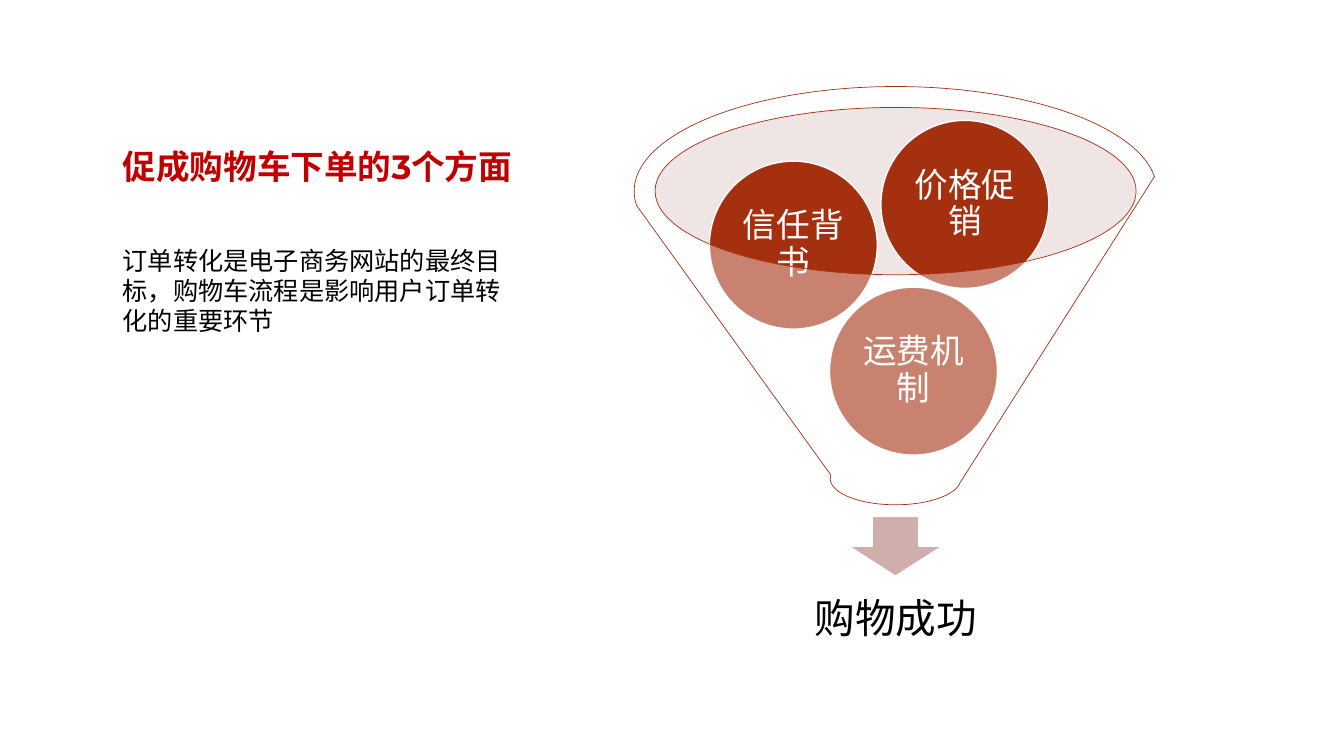
from dataclasses import dataclass

from lxml import etree
from pptx import Presentation
from pptx import util as u
from pptx.dml.color import RGBColor
from pptx.enum import shapes, text
from pptx.oxml.ns import qn

Kind = shapes.MSO_SHAPE
MID = text.MSO_ANCHOR.MIDDLE
TOP = text.MSO_ANCHOR.TOP
CENTER = text.PP_ALIGN.CENTER
LEFT = text.PP_ALIGN.LEFT


@dataclass(frozen=True)
class Theme:
    font: str = "Montserrat"
    rust: str = "A5300F"
    red: str = "C00000"
    rose: str = "CFAEAB"
    blush: str = "D8BEBD"
    white: str = "FFFFFF"
    black: str = "000000"
    head: int = 24
    body: int = 18
    ball: int = 24
    goal: int = 29


class Deck:
    def __init__(self, theme, wide, high):
        self.theme = theme
        self.prs = Presentation()
        self.prs.slide_width = u.Pt(wide)
        self.prs.slide_height = u.Pt(high)
        self.page = self.prs.slides.add_slide(self.prs.slide_layouts[6])

    def shape(self, kind, box, fill, line=None, width=1, alpha=None):
        """Draw a preset shape; alpha is the opacity of its fill in percent."""
        item = self.page.shapes.add_shape(kind, *map(u.Pt, box))
        item.shadow.inherit = False
        item.fill.solid()
        item.fill.fore_color.rgb = RGBColor.from_string(fill)
        if alpha is not None:
            tint = item.fill._xPr.find(".//" + qn("a:srgbClr"))
            etree.SubElement(tint, qn("a:alpha"), val=str(alpha * 1000))
        if line:
            item.line.color.rgb = RGBColor.from_string(line)
            item.line.width = u.Pt(width)
        else:
            item.line.fill.background()
        return item

    def letter(self, item, words, size, color, bold=False, align=LEFT,
               anchor=TOP, pad=None, space=None):
        """Put one paragraph into a shape or text box."""
        frame = item.text_frame
        look = {"word_wrap": True, "vertical_anchor": anchor}
        if pad is not None:
            for side in ("left", "right", "top", "bottom"):
                look["margin_" + side] = u.Pt(pad)
        para = frame.paragraphs[0]
        run = para.add_run()
        run.text = words
        jobs = (
            (frame, look),
            (para, {"alignment": align, "line_spacing": space}),
            (run.font, {"name": self.theme.font, "size": u.Pt(size), "bold": bold}),
        )
        for part, values in jobs:
            for key, value in values.items():
                setattr(part, key, value)
        run.font.color.rgb = RGBColor.from_string(color)

    def label(self, box, words, size, color, **look):
        item = self.page.shapes.add_textbox(*map(u.Pt, box))
        self.letter(item, words, size, color, **look)

    def ball(self, left, top, words):
        t = self.theme
        item = self.shape(Kind.OVAL, (left, top, 120, 120), t.rust, t.white)
        self.letter(item, words, t.ball, t.white, align=CENTER, anchor=MID,
                    pad=2.16, space=0.9)


def main():
    t = Theme()
    deck = Deck(t, 960, 540)

    deck.shape(Kind.OVAL, (467.5, 76.4, 344.2, 119.5), t.blush, alpha=40)
    deck.shape(Kind.DOWN_ARROW, (606.3, 368.9, 66.7, 42.7), t.rose, t.white)
    deck.label((480, 403, 320, 80), "购物成功", t.goal, t.black,
               align=CENTER, anchor=MID, pad=16.5, space=0.9)

    balls = (
        (592.5, 205.1, "运费机制"),
        (506.7, 115.1, "信任背书"),
        (629.2, 86, "价格促销"),
    )
    for left, top, words in balls:
        deck.ball(left, top, words)
    deck.shape(Kind.FUNNEL, (453, 61.8, 373.5, 298.8), t.white, t.rust, 0.5, 40)

    deck.label((80.6, 100.8, 293.8, 36), "促成购物车下单的3个方面",
               t.head, t.red, bold=True)
    deck.label((80.6, 171.4, 285.1, 72.7),
               "订单转化是电子商务网站的最终目标，购物车流程是影响用户订单转化的重要环节",
               t.body, t.black)

    deck.prs.save("out.pptx")


if __name__ == "__main__":
    main()
